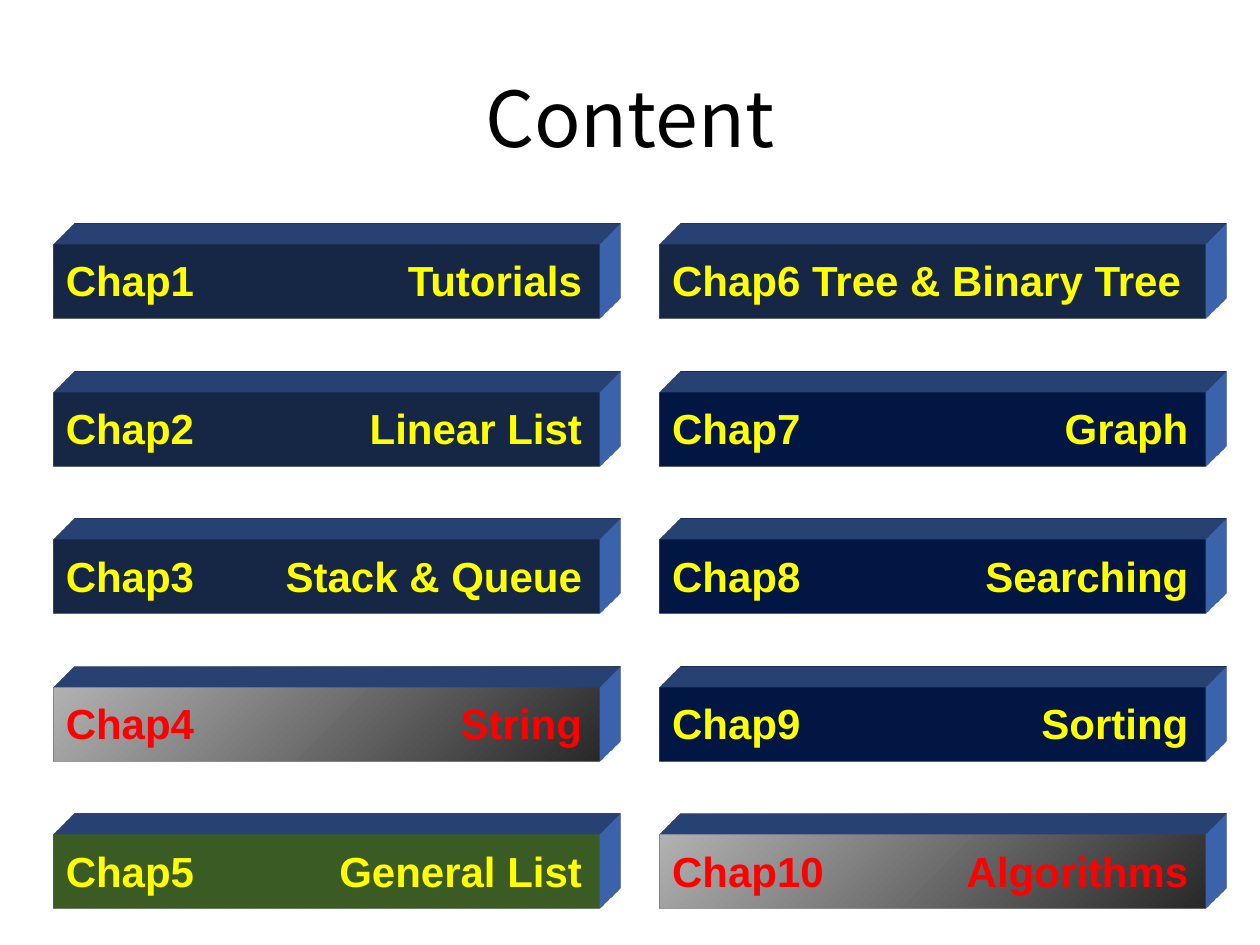
import dataclasses

import pptx
import pptx.dml.color
import pptx.enum.shapes
import pptx.enum.text
import pptx.oxml
import pptx.oxml.ns
import pptx.util

Pt = pptx.util.Pt
RGB = pptx.dml.color.RGBColor.from_string


@dataclasses.dataclass(frozen=True)
class Theme:
    title_font: str = "Noto Sans CJK SC"
    title_size: float = 44
    title_color: str = "000000"
    bar_font: str = "Arial"
    bar_size: float = 24
    yellow: str = "FFFF00"
    red: str = "FF0000"
    slate: str = "203864"
    navy: str = "002060"
    green: str = "548235"
    gradient: tuple = ("B2B2B2", "292929")
    extrusion: str = "4472C4"


THEME = Theme()

# Each chapter: label, separator, topic, fill, text colour
LEFT_CHAPTERS = [
    ("Chap1", "\t", "Tutorials", THEME.slate, THEME.yellow),
    ("Chap2", "\t", "Linear List", THEME.slate, THEME.yellow),
    ("Chap3", "\t", "Stack & Queue", THEME.slate, THEME.yellow),
    ("Chap4", "\t", "String", THEME.gradient, THEME.red),
    ("Chap5", "\t", "General List", THEME.green, THEME.yellow),
]
RIGHT_CHAPTERS = [
    ("Chap6", " ", "Tree & Binary Tree", THEME.slate, THEME.yellow),
    ("Chap7", "\t", "Graph", THEME.navy, THEME.yellow),
    ("Chap8", "\t", "Searching", THEME.navy, THEME.yellow),
    ("Chap9", "\t", "Sorting", THEME.navy, THEME.yellow),
    ("Chap10", "\t", "Algorithms", THEME.gradient, THEME.red),
]


def add_run(paragraph, text, font, size, color, bold=False):
    run = paragraph.add_run()
    run.text = text
    run.font.name = font
    run.font.size = Pt(size)
    run.font.bold = bold
    run.font.color.rgb = RGB(color)


def paint(shape, fill):
    """Fill with one colour, or with a diagonal gradient for a pair."""
    if isinstance(fill, str):
        shape.fill.solid()
        shape.fill.fore_color.rgb = RGB(fill)
        return
    shape.fill.gradient()
    shape.fill.gradient_angle = 315
    for stop, position, color in zip(shape.fill.gradient_stops, (0, 1), fill):
        stop.position = position
        stop.color.rgb = RGB(color)


def extrude(shape):
    """Give the bar its oblique depth toward the top right."""
    namespace = pptx.oxml.ns.nsdecls("a")
    properties = shape.element.spPr
    for xml in (
        f'<a:scene3d {namespace}><a:camera prst="legacyObliqueTopRight"/>'
        '<a:lightRig rig="legacyFlat3" dir="b"/></a:scene3d>',
        f'<a:sp3d {namespace} extrusionH="430200" prstMaterial="legacyMatte">'
        f'<a:extrusionClr><a:srgbClr val="{THEME.extrusion}"/>'
        '</a:extrusionClr></a:sp3d>',
    ):
        properties.append(pptx.oxml.parse_xml(xml))


def add_right_tab(paragraph, position):
    paragraph_properties = paragraph._p.get_or_add_pPr()
    paragraph_properties.append(pptx.oxml.parse_xml(
        f'<a:tabLst {pptx.oxml.ns.nsdecls("a")}>'
        f'<a:tab pos="{Pt(position)}" algn="r"/></a:tabLst>'))


def add_title(slide, left, top, width, height):
    box = slide.shapes.add_textbox(Pt(left), Pt(top), Pt(width), Pt(height))
    frame = box.text_frame
    frame.word_wrap = True
    frame.vertical_anchor = pptx.enum.text.MSO_ANCHOR.MIDDLE
    paragraph = frame.paragraphs[0]
    paragraph.alignment = pptx.enum.text.PP_ALIGN.CENTER
    add_run(paragraph, "Content", THEME.title_font, THEME.title_size,
            THEME.title_color)


def add_chapter_bar(slide, chapter, left, top, width, height):
    label, separator, topic, fill, color = chapter
    bar = slide.shapes.add_shape(
        pptx.enum.shapes.MSO_SHAPE.RECTANGLE,
        Pt(left), Pt(top), Pt(width), Pt(height))
    paint(bar, fill)
    bar.line.fill.background()
    bar.shadow.inherit = False
    extrude(bar)

    frame = bar.text_frame
    frame.word_wrap = True
    frame.vertical_anchor = pptx.enum.text.MSO_ANCHOR.TOP
    frame.margin_top = Pt(6)
    paragraph = frame.paragraphs[0]
    paragraph.alignment = pptx.enum.text.PP_ALIGN.LEFT
    add_right_tab(paragraph, width - 17)
    add_run(paragraph, label + separator + topic, THEME.bar_font,
            THEME.bar_size, color, bold=True)


def add_chapter_column(slide, chapters, left, top, width, height):
    bar_height = 42.5
    pitch = (height - bar_height) / (len(chapters) - 1)
    for row, chapter in enumerate(chapters):
        add_chapter_bar(slide, chapter, left, top + row * pitch, width,
                        bar_height)


def main():
    presentation = pptx.Presentation()
    presentation.slide_width = Pt(720)
    presentation.slide_height = Pt(540)
    slide = presentation.slides.add_slide(presentation.slide_layouts[6])

    # Two columns of chapters below the title
    add_chapter_column(slide, LEFT_CHAPTERS, 30.5, 139.7, 312, 379.7)
    add_chapter_column(slide, RIGHT_CHAPTERS, 377, 139.7, 312, 379.7)
    add_title(slide, 36, 21.6, 648, 90)

    presentation.save("out.pptx")


if __name__ == "__main__":
    main()
